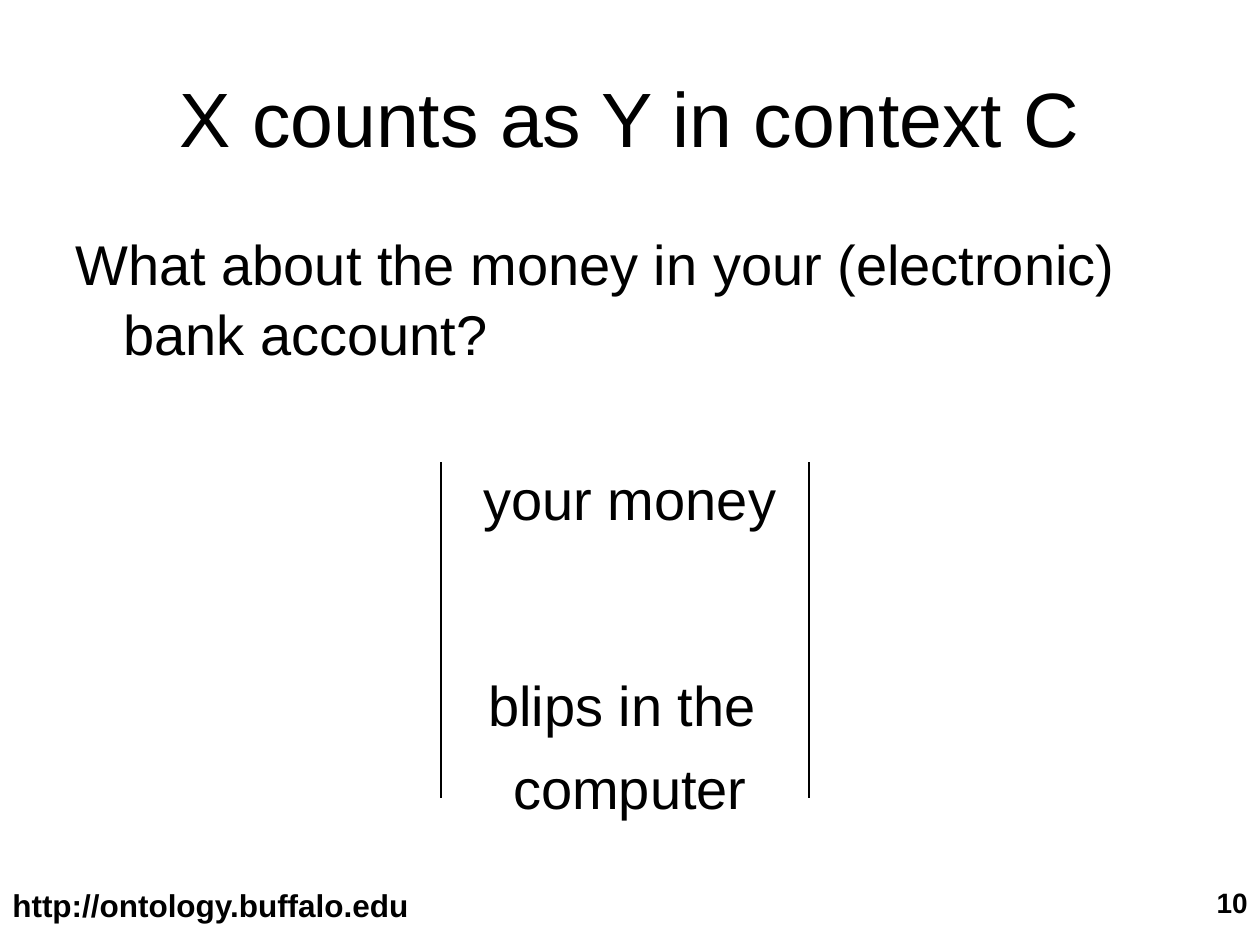
from lxml import etree
from pptx import Presentation
from pptx import util as u
from pptx.dml.color import RGBColor
from pptx.enum import shapes, text

FONT = "Arial"
BLACK = "000000"
LEFT, CENTER, RIGHT = text.PP_ALIGN.LEFT, text.PP_ALIGN.CENTER, text.PP_ALIGN.RIGHT
TOP, MIDDLE = text.MSO_ANCHOR.TOP, text.MSO_ANCHOR.MIDDLE

# Paragraph: wording, alignment, space before in points
TITLE = [("X counts as Y in context C", CENTER, 0)]
BODY = [
    ("What about the money in your (electronic) bank account?", LEFT, 0),
    ("your money", CENTER, 54.3),
    ("blips in the ", CENTER, 77.7),
    ("computer", CENTER, 8),
]
ADDRESS = [("http://ontology.buffalo.edu", LEFT, 0)]
NUMBER = [("10", RIGHT, 0)]

# Box: paragraphs, (left, top, width, height), size, bold, anchor, line spacing, hanging indent
BOXES = [
    (ADDRESS, (0, 6.98, 3.67, 0.52), 18, True, TOP, 1, 0),
    (NUMBER, (7.67, 6.98, 2.33, 0.52), 16, True, TOP, 1, 0),
    (TITLE, (0.5, 0.3, 9, 1.25), 44, False, MIDDLE, 1, 0),
    (BODY, (0.5, 1.75, 9, 4.95), 32, False, TOP, 1.04, 0.38),
]
RULE_XS = (3.5, 6.42)
RULE_TOP, RULE_BOTTOM = 3.67, 6.33


def color(value):
    return RGBColor.from_string(value)


def add_text(slide, paragraphs, place, size, bold, anchor, spacing, hanging):
    box = slide.shapes.add_textbox(*map(u.Inches, place))
    frame = box.text_frame
    frame.word_wrap = True
    frame.vertical_anchor = anchor
    for index, (wording, align, before) in enumerate(paragraphs):
        para = frame.paragraphs[0] if index == 0 else frame.add_paragraph()
        para.text = wording
        para.alignment = align
        para.line_spacing = spacing
        para.space_before = u.Pt(before)
        if hanging:
            properties = para._p.get_or_add_pPr()
            properties.set("marL", str(u.Inches(hanging)))
            properties.set("indent", str(u.Inches(-hanging)))
        para.font.name = FONT
        para.font.size = u.Pt(size)
        para.font.bold = bold
        para.font.color.rgb = color(BLACK)


def add_rule(slide, x):
    rule = slide.shapes.add_connector(
        shapes.MSO_CONNECTOR.STRAIGHT,
        u.Inches(x), u.Inches(RULE_TOP), u.Inches(x), u.Inches(RULE_BOTTOM))
    rule.line.color.rgb = color(BLACK)
    rule.line.width = u.Pt(0.75)
    etree.SubElement(
        rule._element.spPr,
        "{http://schemas.openxmlformats.org/drawingml/2006/main}effectLst")


def main():
    deck = Presentation()
    deck.slide_width, deck.slide_height = u.Inches(10), u.Inches(7.5)
    slide = deck.slides.add_slide(deck.slide_layouts[6])
    for box in BOXES:
        add_text(slide, *box)
    for x in RULE_XS:
        add_rule(slide, x)
    deck.save("out.pptx")


if __name__ == "__main__":
    main()
